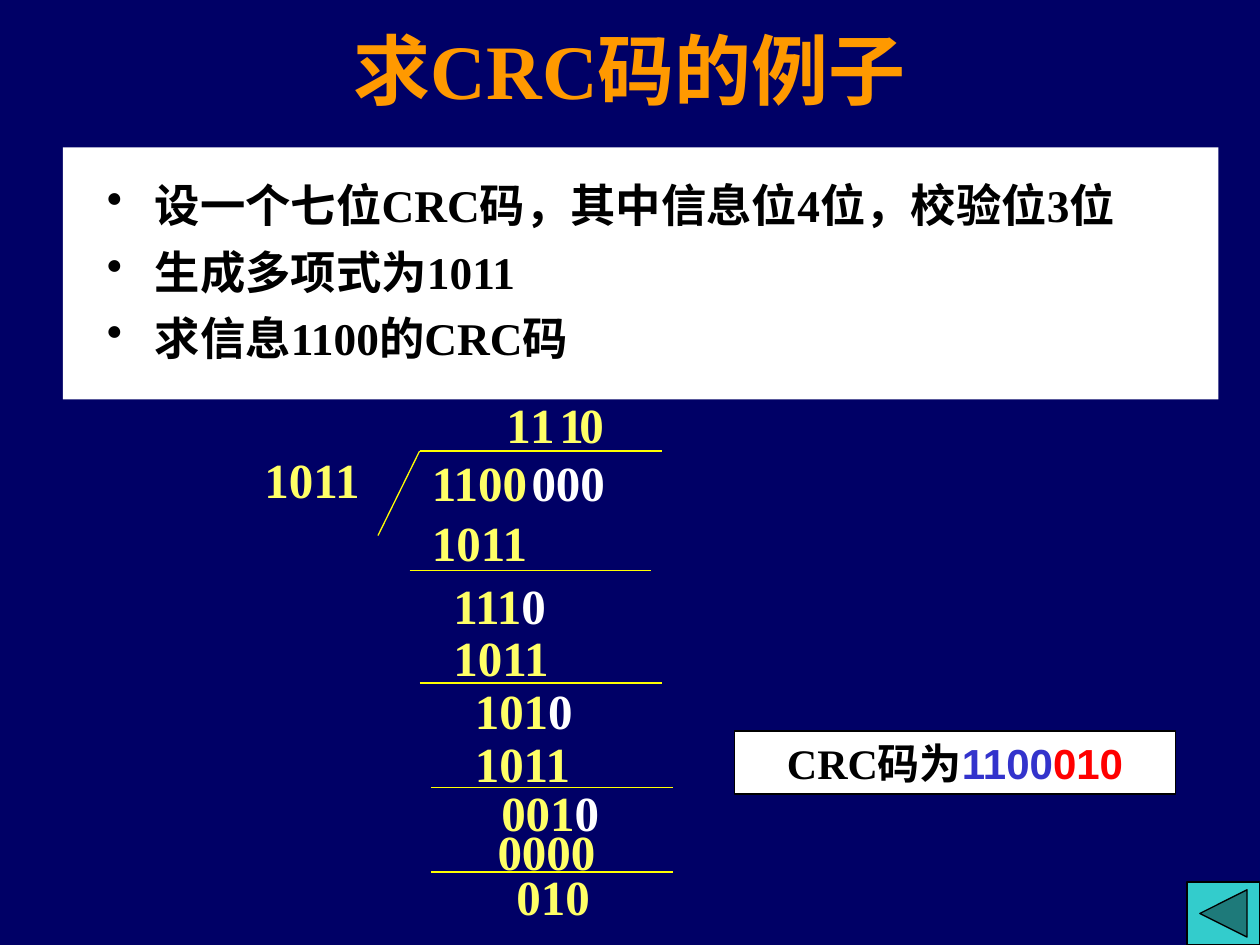
"""Build a slide that works out a CRC code by long division."""
import pptx
import pptx.dml.color
import pptx.enum.shapes
import pptx.enum.text
import pptx.oxml.ns
import pptx.util
from lxml import etree

Inches = pptx.util.Inches
Pt = pptx.util.Pt
SHAPES = pptx.enum.shapes.MSO_SHAPE
ALIGN = pptx.enum.text.PP_ALIGN
MIDDLE = pptx.enum.text.MSO_ANCHOR.MIDDLE

SERIF = "Times New Roman"
COLOURS = {
    "navy": "000066",
    "white": "FFFFFF",
    "black": "000000",
    "title": "FF9900",
    "digit": "FFFF66",
    "rule": "FFFF00",
    "info": "3333CC",
    "check": "FF0000",
    "button": "33CCCC",
}
POINTS = (
    "设一个七位CRC码，其中信息位4位，校验位3位",
    "生成多项式为1011",
    "求信息1100的CRC码",
)
QUOTIENT = ((3.92, "1"), (4.11, "1"), (4.34, "1"), (4.5, "0"))
DIGITS = (
    (2, 3.52, "1011", ""),
    (3.33, 3.54, "1100", ""),
    (4.12, 3.54, "", "000"),
    (3.33, 4.02, "1011", ""),
    (3.5, 4.52, "111", "0"),
    (3.5, 4.93, "1011", ""),
    (3.67, 5.35, "101", "0"),
    (3.67, 5.77, "1011", ""),
    (3.88, 6.16, "001", "0"),
    (3.85, 6.47, "0000", ""),
    (4, 6.83, "010", ""),
)
RULES = ((3.33, 3.58), (3.25, 4.53), (3.33, 5.42), (3.42, 6.25), (3.42, 6.92))
RULE_LENGTH = 1.92


def rgb(name):
    """Return the named colour."""
    return pptx.dml.color.RGBColor.from_string(COLOURS[name])


def style(font, size, colour, name=SERIF):
    """Set a bold font."""
    font.size, font.name, font.bold = Pt(size), name, True
    font.color.rgb = rgb(colour)


def add_text(slide, left, top, width, height):
    """Add a wrapping text box and return its frame."""
    frame = slide.shapes.add_textbox(
        Inches(left), Inches(top), Inches(width), Inches(height)).text_frame
    frame.word_wrap = True
    return frame


def add_panel(slide, left, top, width, height, preset=SHAPES.RECTANGLE,
              fill="white", outline=None):
    """Add a filled shape, outlined in black when a width is given."""
    panel = slide.shapes.add_shape(
        preset, Inches(left), Inches(top), Inches(width), Inches(height))
    panel.shadow.inherit = False
    panel.fill.solid()
    panel.fill.fore_color.rgb = rgb(fill)
    if outline:
        panel.line.color.rgb = rgb("black")
        panel.line.width = Pt(outline)
    else:
        panel.line.fill.background()
    return panel


def add_rule(slide, x1, y1, x2, y2):
    """Add a thin yellow line."""
    rule = slide.shapes.add_connector(
        pptx.enum.shapes.MSO_CONNECTOR.STRAIGHT,
        Inches(x1), Inches(y1), Inches(x2), Inches(y2))
    rule.line.color.rgb = rgb("rule")
    rule.line.width = Pt(0.75)
    etree.SubElement(rule._element.spPr, pptx.oxml.ns.qn("a:effectLst"))


def add_digits(slide, left, top, kept, brought_down="", width=1.25):
    """Add one row of the division, with brought-down digits in white."""
    frame = add_text(slide, left, top, width, 0.57)
    frame.auto_size = pptx.enum.text.MSO_AUTO_SIZE.SHAPE_TO_FIT_TEXT
    row = frame.paragraphs[0]
    for digits, colour in ((kept, "digit"), (brought_down, "white")):
        if digits:
            run = row.add_run()
            run.text = digits
            style(run.font, 28, colour)


def add_title(slide, text):
    """Add the centred title."""
    frame = add_text(slide, 0.75, -0.08, 8.5, 1.25)
    frame.vertical_anchor = MIDDLE
    title = frame.paragraphs[0]
    title.text, title.alignment = text, ALIGN.CENTER
    style(title.font, 44, "title")


def add_points(slide, points):
    """Add the bulleted problem statement."""
    frame = add_text(slide, 0.75, 1.33, 8.92, 1.75)
    frame.margin_top = Inches(0.08)
    for index, text in enumerate(points):
        point = frame.add_paragraph() if index else frame.paragraphs[0]
        point.text = text
        point.line_spacing = Pt(31)
        if index:
            point.space_before = Pt(7)
        properties = point._p.get_or_add_pPr()
        properties.set("marL", str(Inches(0.38)))
        properties.set("indent", str(-Inches(0.38)))
        bullet = etree.SubElement(properties, pptx.oxml.ns.qn("a:buChar"))
        bullet.set("char", "•")
        style(point.font, 25.9, "black")


def add_result(slide):
    """Add the boxed CRC code."""
    frame = add_panel(slide, 5.83, 5.8, 3.5, 0.5, outline=1).text_frame
    frame.word_wrap = False
    frame.vertical_anchor = MIDDLE
    answer = frame.paragraphs[0]
    answer.alignment = ALIGN.CENTER
    for text, colour, font in (("CRC码为", "black", SERIF),
                               ("1100", "info", "Arial"),
                               ("010", "check", "Arial")):
        run = answer.add_run()
        run.text = text
        style(run.font, 24, colour, font)


def main():
    """Build and save the slide."""
    deck = pptx.Presentation()
    deck.slide_width, deck.slide_height = Inches(10), Inches(7.5)
    slide = deck.slides.add_slide(deck.slide_layouts[6])
    slide.background.fill.solid()
    slide.background.fill.fore_color.rgb = rgb("navy")

    add_panel(slide, 0.5, 1.17, 9.17, 2)
    add_title(slide, "求CRC码的例子")
    add_points(slide, POINTS)
    add_result(slide)
    add_rule(slide, 3.33, 3.58, 3, 4.25)
    for left, top in RULES:
        add_rule(slide, left, top, left + RULE_LENGTH, top)
    for left, digit in QUOTIENT:
        add_digits(slide, left, 3.08, digit, width=0.42)
    for row in DIGITS:
        add_digits(slide, *row)
    add_panel(slide, 9.42, 7, 0.58, 0.5,
              SHAPES.ACTION_BUTTON_BACK_OR_PREVIOUS, "button", 0.75)
    deck.save("out.pptx")


if __name__ == "__main__":
    main()
